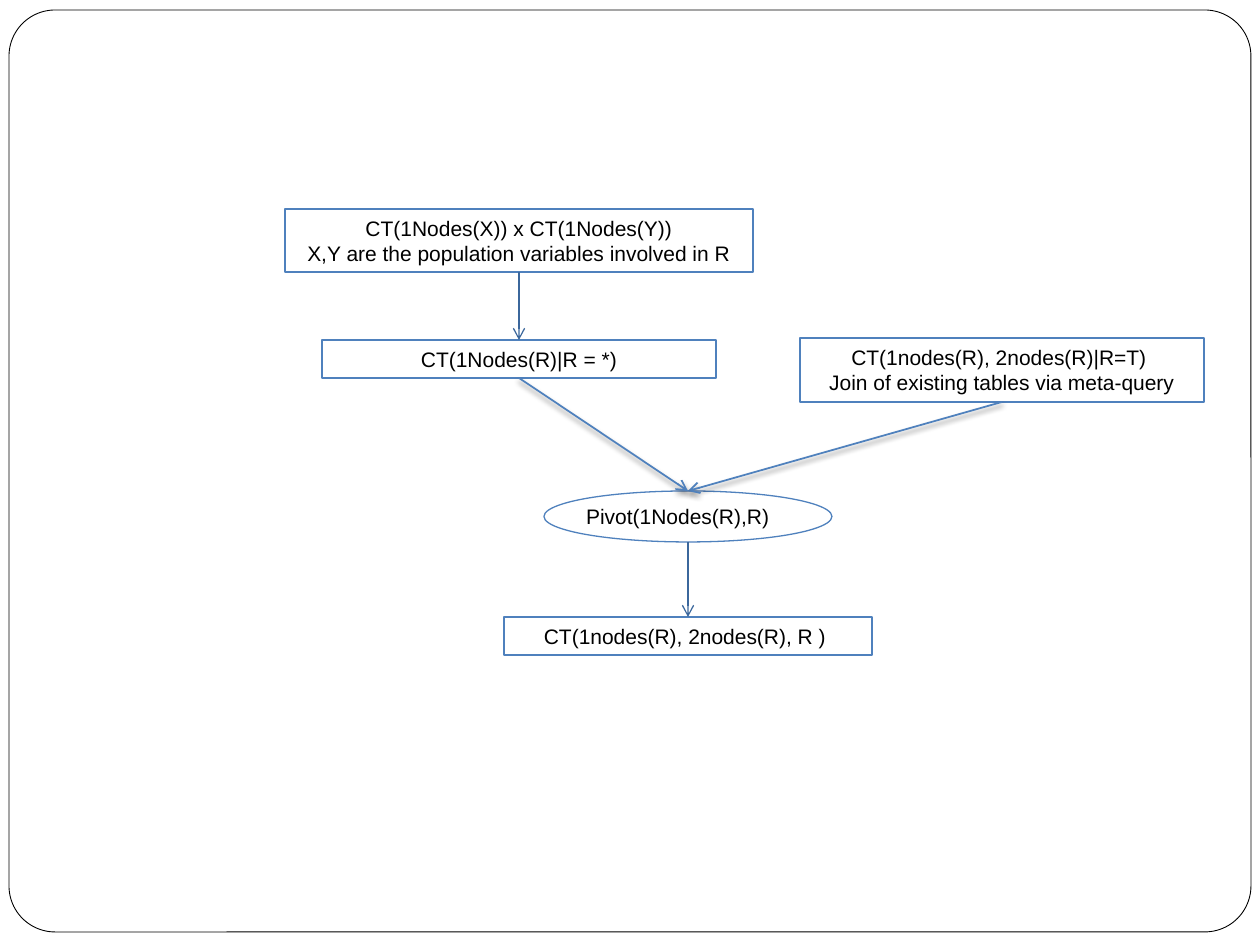
from dataclasses import dataclass

from lxml.etree import SubElement
from pptx import Presentation
from pptx.dml.color import RGBColor
from pptx.enum.shapes import MSO_CONNECTOR, MSO_SHAPE
from pptx.enum.text import MSO_ANCHOR, PP_ALIGN
from pptx.oxml.ns import qn
from pptx.util import Inches, Pt

PX_PER_INCH = 126


def px(length):
    return Inches(length / PX_PER_INCH)


@dataclass(frozen=True)
class Theme:
    font: str = "Arial"
    text_size: int = 12
    text: str = "000000"
    paper: str = "FFFFFF"
    frame: str = "000000"
    outline: str = "4F81BD"
    step_arrow: str = "3B679C"
    shadow: str = "000000"


def write_text(frame, lines, *, font, size, color, align):
    frame.margin_left = frame.margin_right = 0
    frame.margin_top = frame.margin_bottom = 0
    frame.vertical_anchor = MSO_ANCHOR.MIDDLE
    frame.word_wrap = True
    for index, line in enumerate(lines):
        paragraph = frame.add_paragraph() if index else frame.paragraphs[0]
        paragraph.alignment = align
        run = paragraph.add_run()
        run.text = line
        run.font.name = font
        run.font.size = Pt(size)
        run.font.color.rgb = RGBColor.from_string(color)


class FlowSlide:
    def __init__(self, slide, theme):
        self.shapes = slide.shapes
        self.theme = theme

    def outlined(self, preset, left, top, width, height, color, weight):
        shape = self.shapes.add_shape(preset, px(left), px(top), px(width), px(height))
        shape.shadow.inherit = False
        shape.fill.background()
        shape.line.color.rgb = RGBColor.from_string(color)
        shape.line.width = Pt(weight)
        return shape

    def frame(self, left, top, width, height):
        frame = self.outlined(MSO_SHAPE.ROUNDED_RECTANGLE, left, top, width, height,
                              self.theme.frame, 0.5)
        frame.adjustments[0] = 0.05
        frame.fill.solid()
        frame.fill.fore_color.rgb = RGBColor.from_string(self.theme.paper)

    def node(self, left, top, width, height, *lines,
             preset=MSO_SHAPE.RECTANGLE, align=PP_ALIGN.CENTER):
        node = self.outlined(preset, left, top, width, height, self.theme.outline, 0.75)
        write_text(node.text_frame, lines, font=self.theme.font,
                   size=self.theme.text_size, color=self.theme.text, align=align)
        return node

    def arrow(self, source, target, color, weight, shadow=False):
        """Join the bottom centre of source to the top centre of target."""
        arrow = self.shapes.add_connector(
            MSO_CONNECTOR.STRAIGHT,
            source.left + source.width // 2, source.top + source.height,
            target.left + target.width // 2, target.top)
        arrow.line.color.rgb = RGBColor.from_string(color)
        arrow.line.width = Pt(weight)
        SubElement(arrow.line._get_or_add_ln(), qn("a:tailEnd"), type="arrow")
        effects = SubElement(arrow._element.spPr, qn("a:effectLst"))
        if shadow:
            outer = SubElement(effects, qn("a:outerShdw"), blurRad=str(Pt(3)),
                               dist=str(Pt(2)), dir="5400000", rotWithShape="0")
            tint = SubElement(outer, qn("a:srgbClr"), val=self.theme.shadow)
            SubElement(tint, qn("a:alpha"), val="50000")


def main():
    presentation = Presentation()
    presentation.slide_width, presentation.slide_height = Inches(10), Inches(7.5)
    theme = Theme()
    flow = FlowSlide(presentation.slides.add_slide(presentation.slide_layouts[6]), theme)

    # Page frame
    flow.frame(9, 10, 1242, 922)

    # Tables that feed the pivot
    joined = flow.node(800, 338, 404, 64, "CT(1nodes(R), 2nodes(R)|R=T) ",
                       "Join of existing tables via meta-query")
    unconditional = flow.node(322, 340, 394, 38, "CT(1Nodes(R)|R = *)")
    product = flow.node(285, 209, 468, 63, "CT(1Nodes(X)) x CT(1Nodes(Y))",
                        "X,Y are the population variables involved in R")

    # Pivot and its result
    pivot = flow.node(544, 491, 288, 51, "Pivot(1Nodes(R),R)",
                      preset=MSO_SHAPE.OVAL, align=PP_ALIGN.LEFT)
    result = flow.node(504, 617, 368, 38, "CT(1nodes(R), 2nodes(R), R ) ")

    # Arrows into the pivot, then the straight steps
    for source in (joined, unconditional):
        flow.arrow(source, pivot, theme.outline, 1, shadow=True)
    for source, target in ((product, unconditional), (pivot, result)):
        flow.arrow(source, target, theme.step_arrow, 0.75)

    presentation.save("out.pptx")


if __name__ == "__main__":
    main()
